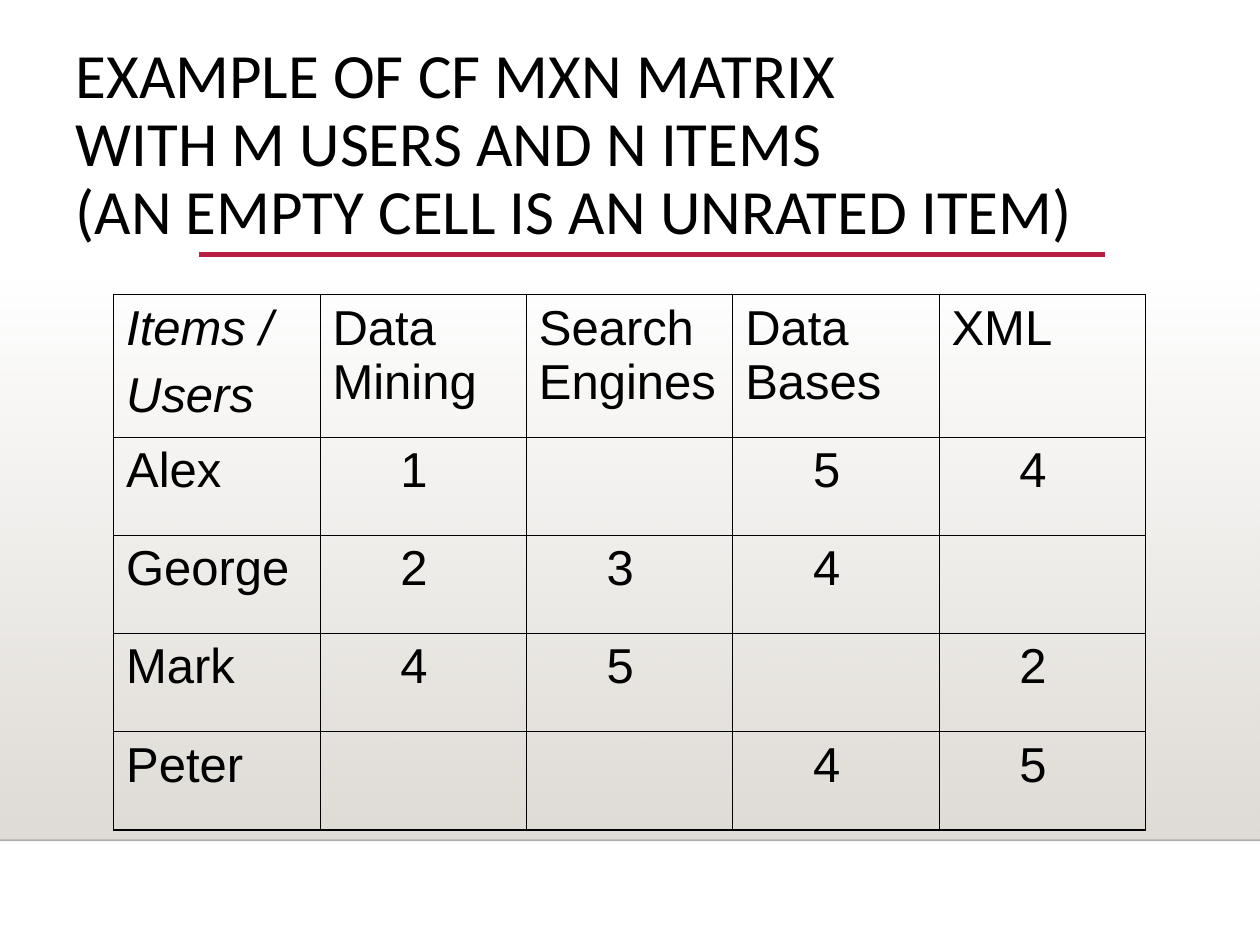
from lxml.etree import SubElement
from pptx import Presentation
from pptx.dml.color import RGBColor
from pptx.enum.shapes import MSO_CONNECTOR as Connector, MSO_SHAPE as Shape
from pptx.enum.text import MSO_ANCHOR as Anchor, MSO_AUTO_SIZE as AutoSize, PP_ALIGN as Align
from pptx.oxml.ns import qn
from pptx.util import Cm, Pt

SLIDE_WIDTH, SLIDE_HEIGHT = 25.4, 19.05
BLACK, CRIMSON, STONE = "000000", "B71E42", "DFDBD5"
INNER_BORDER, OUTER_BORDER = 0.45, 1.08
HEADER_HEIGHT = 2.87
RATING_INDENT = 1.62

TITLE = "\v".join([
    "EXAMPLE OF CF MXN MATRIX",
    "WITH M USERS AND N ITEMS",
    "(AN EMPTY CELL IS AN UNRATED ITEM)",
])
RATINGS = [
    ["Items /\nUsers", "Data Mining", "Search Engines", "Data Bases", "XML"],
    ["Alex", "1", "", "5", "4"],
    ["George", "2", "3", "4", ""],
    ["Mark", "4", "5", "", "2"],
    ["Peter", "", "", "4", "5"],
]


def rgb(code):
    """Turn a hex string into a colour."""
    return RGBColor.from_string(code)


def set_font(paragraph, name, size, italic=False):
    """Set the font of a whole paragraph."""
    font = paragraph.font
    font.name, font.size, font.italic = name, Pt(size), italic
    font.color.rgb = rgb(BLACK)


def set_alpha(properties, percent):
    """Make the first colour found in the properties partly transparent."""
    colour = next(properties.iter(qn("a:srgbClr")))
    SubElement(colour, qn("a:alpha"), val=str(percent * 1000))


def add_rule(slide, left, top, width, colour, weight):
    """Draw a level line without a shadow."""
    rule = slide.shapes.add_connector(
        Connector.STRAIGHT, Cm(left), Cm(top), Cm(left + width), Cm(top))
    rule.line.color.rgb = rgb(colour)
    rule.line.width = Pt(weight)
    SubElement(rule.element.spPr, qn("a:effectLst"))
    return rule


def add_backdrop(slide, left, top, width, height):
    """Draw the fading panel and the faint edge along its bottom."""
    panel = slide.shapes.add_shape(Shape.RECTANGLE, Cm(left), Cm(top), Cm(width), Cm(height))
    panel.shadow.inherit = False
    panel.line.fill.background()
    panel.fill.gradient()
    panel.fill.gradient_angle = 270
    for stop, position in zip(panel.fill.gradient_stops, (0, 1)):
        stop.position = position
        stop.color.rgb = rgb(STONE)
    set_alpha(panel.element.spPr, 0)
    edge = add_rule(slide, left, top + height, width, "000001", 1)
    set_alpha(edge.element.spPr, 20)


def place_title(slide, left, top, width, height):
    """Place the title in front of the backdrop, with a rule under its last line."""
    add_rule(slide, left + 2.74, top + 4.37, 18.27, CRIMSON, 2.5)
    title = slide.shapes.title
    title.element.getparent().append(title.element)
    title.left, title.top, title.width, title.height = map(Cm, (left, top, width, height))
    frame = title.text_frame
    frame.text = TITLE
    frame.word_wrap = True
    frame.auto_size = AutoSize.NONE
    frame.vertical_anchor = Anchor.TOP
    heading = frame.paragraphs[0]
    heading.alignment = Align.LEFT
    heading.line_spacing = 0.9
    set_font(heading, "Calibri", 36)


def set_borders(cell, outer_sides):
    """Border a cell, heavier on the sides that lie on the table's outline."""
    properties = cell._tc.get_or_add_tcPr()
    for side in "LRTB":
        weight = OUTER_BORDER if side in outer_sides else INNER_BORDER
        border = SubElement(properties, qn(f"a:ln{side}"), w=str(Pt(weight)))
        SubElement(SubElement(border, qn("a:solidFill")), qn("a:srgbClr"), val=BLACK)


def add_ratings(slide, left, top, width, height):
    """Add the matrix of users and items."""
    row_count, column_count = len(RATINGS), len(RATINGS[0])
    matrix = slide.shapes.add_table(
        row_count, column_count, Cm(left), Cm(top), Cm(width), Cm(height)).table
    matrix.first_row = matrix.horz_banding = False
    user_height = (height - HEADER_HEIGHT) / (row_count - 1)
    for row, entries in enumerate(RATINGS):
        matrix.rows[row].height = Cm(user_height if row else HEADER_HEIGHT)
        for column, entry in enumerate(entries):
            cell = matrix.cell(row, column)
            outline = {"L": column == 0, "R": column == column_count - 1,
                       "T": row == 0, "B": row == row_count - 1}
            set_borders(cell, [side for side, outer in outline.items() if outer])
            cell.fill.background()
            if row and column:
                cell.margin_left = Cm(RATING_INDENT)
            cell.text = entry
            for index, paragraph in enumerate(cell.text_frame.paragraphs):
                if index:
                    paragraph.space_before = Pt(7)
                set_font(paragraph, "Arial", 28, italic=row == column == 0)


def main():
    """Build the slide and save it."""
    deck = Presentation()
    deck.slide_width, deck.slide_height = Cm(SLIDE_WIDTH), Cm(SLIDE_HEIGHT)
    slide = deck.slides.add_slide(deck.slide_layouts.get_by_name("Title Only"))
    add_backdrop(slide, 0, 5.59, SLIDE_WIDTH, 11.35)
    place_title(slide, 1.27, 0.76, 23.04, 5.16)
    add_ratings(slide, 2.29, 5.94, 20.8, 10.79)
    deck.save("out.pptx")


if __name__ == "__main__":
    main()
